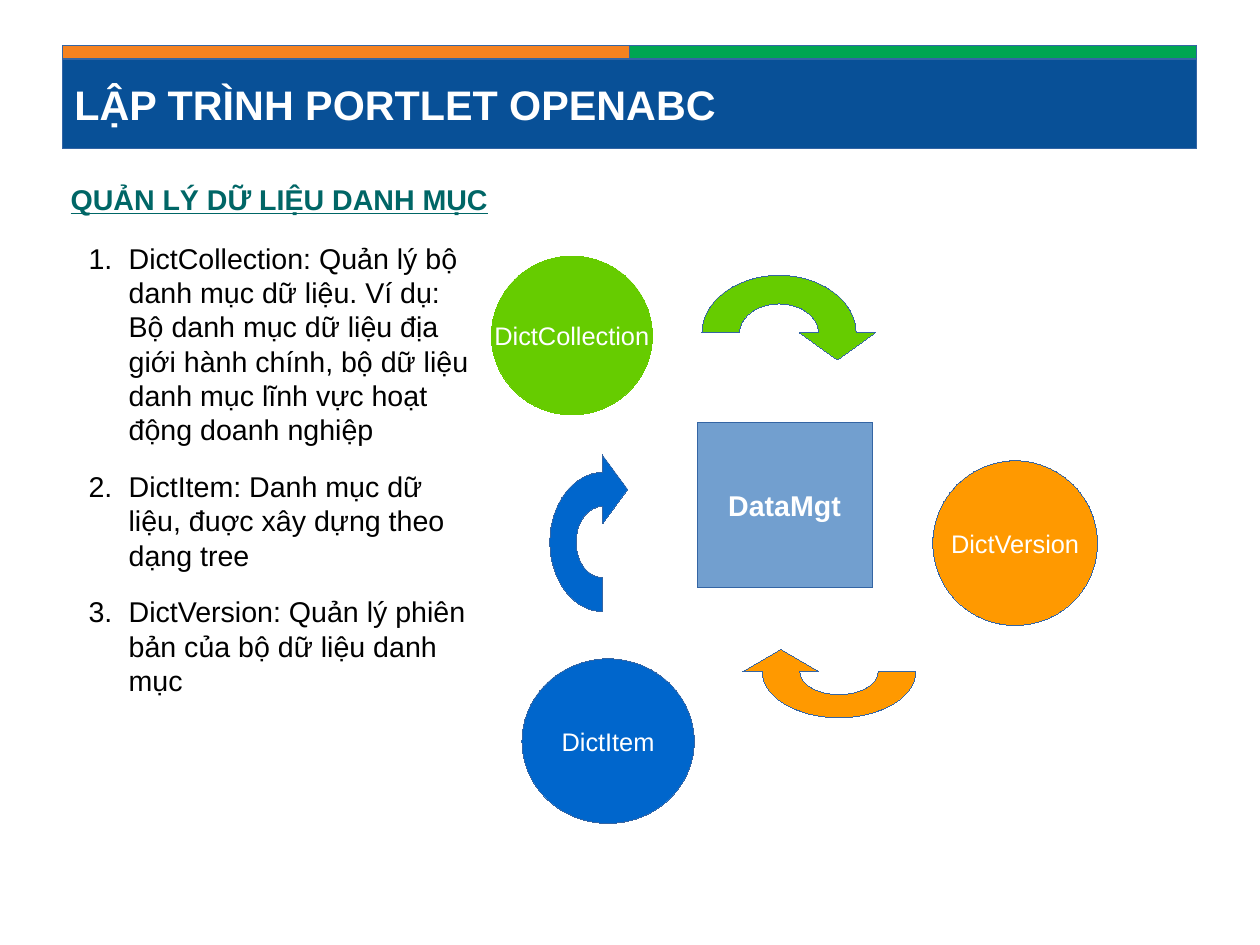
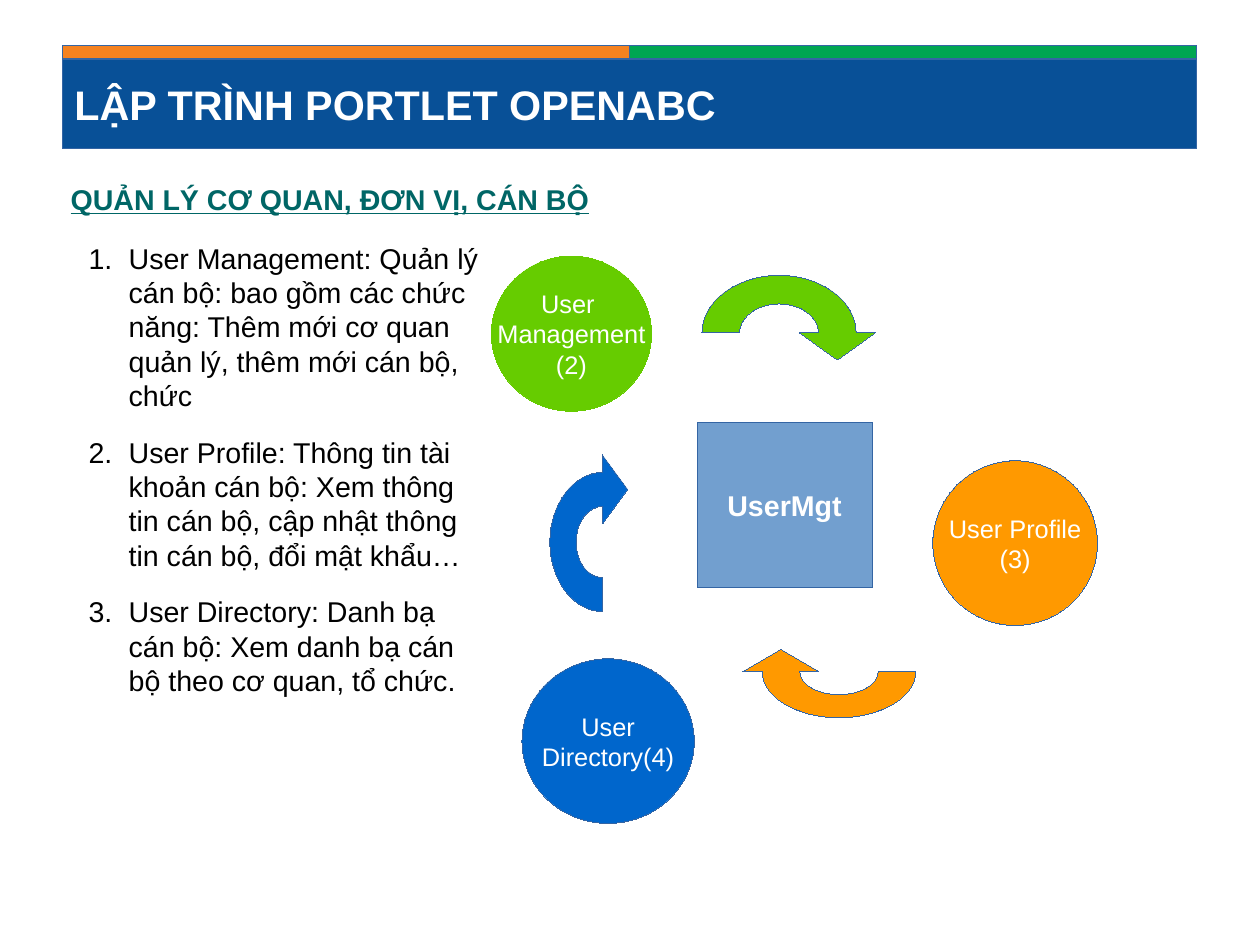
from lxml import etree
from pptx import Presentation
from pptx.dml.color import RGBColor
from pptx.enum.shapes import MSO_SHAPE
from pptx.enum.text import MSO_ANCHOR, MSO_AUTO_SIZE, PP_ALIGN
from pptx.oxml.ns import qn
from pptx.util import Cm, Pt

RECTANGLE, OVAL = MSO_SHAPE.RECTANGLE, MSO_SHAPE.OVAL
MIDDLE = MSO_ANCHOR.MIDDLE
NO_FIT = MSO_AUTO_SIZE.NONE
LEFT, CENTER = PP_ALIGN.LEFT, PP_ALIGN.CENTER

FONT = "Arial"
COLORS = {
    "title": "085097", "band_left": "F58220", "band_right": "00A651",
    "outline": "3465A4", "heading": "006666", "text": "000000",
    "white": "FFFFFF", "green": "66CC00", "blue": "0066CC",
    "orange": "FF9900", "module": "729FCF",
}
TITLE = "LẬP TRÌNH PORTLET OPENABC"

# Boxes are left, top, width, height in cm
TITLE_BOX = (1.4, 1.32, 25.2, 1.98)
BANDS_BOX = (1.4, 1.02, 25.2, 0.28)
HEADING_BOX = (1.32, 3.91, 25.35, 1.12)
LIST_BOX = (1.67, 5.35, 8.99, 13.18)
CYCLE_ORIGIN = (10.92, 5.69)

# Parts of the cycle, relative to its origin
MODULE_BOX = (4.57, 3.71, 3.89, 3.66)
ARROWS = [  # colour, quarter turns to the left, box
    ("blue", 1, (1.3, 4.42, 1.73, 3.48)),
    ("green", 0, (4.68, 0.43, 3.86, 1.88)),
    ("orange", 2, (5.59, 8.74, 3.84, 1.52)),
]
CIRCLES = [  # fill, outline, position
    ("green", "green", (0, 0)),
    ("blue", "outline", (0.68, 8.95)),
    ("orange", "outline", (9.81, 4.55)),
]
OTHER_SIZES = [(3.83, 3.66), (3.66, 3.66)]

SLIDES = [
    {
        "heading": "QUẢN LÝ DỮ LIỆU DANH MỤC",
        "items": [
            "DictCollection: Quản lý bộ danh mục dữ liệu. Ví dụ: Bộ danh mục "
            "dữ liệu địa giới hành chính, bộ dữ liệu danh mục lĩnh vực hoạt "
            "động doanh nghiệp",
            "DictItem: Danh mục dữ liệu, đuợc xây dựng theo dạng tree",
            "DictVersion: Quản lý phiên bản của bộ dữ liệu danh mục",
        ],
        "module": "DataMgt",
        "circles": ["DictCollection", "DictItem", "DictVersion"],
        "first_size": (3.58, 3.53),
    },
    {
        "heading": "QUẢN LÝ CƠ QUAN, ĐƠN VỊ, CÁN BỘ",
        "items": [
            "User Management: Quản lý cán bộ: bao gồm các chức năng: Thêm mới "
            "cơ quan quản lý, thêm mới cán bộ, chức",
            "User Profile: Thông tin tài khoản cán bộ: Xem thông tin cán bộ, "
            "cập nhật thông tin cán bộ, đổi mật khẩu…",
            "User Directory: Danh bạ cán bộ: Xem danh bạ cán bộ theo cơ quan, "
            "tổ chức.",
        ],
        "module": "UserMgt",
        "circles": ["User \nManagement\n(2)", "User\nDirectory(4)",
                    "User Profile\n(3)"],
        "first_size": (3.56, 3.45),
    },
]


def rgb(name):
    return RGBColor.from_string(COLORS[name])


def lengths(box):
    return [Cm(value) for value in box]


def paint(shape, fill, outline="outline"):
    shape.fill.solid()
    shape.fill.fore_color.rgb = rgb(fill)
    shape.line.color.rgb = rgb(outline)
    # A hairline needs its zero width written out
    shape._element.spPr.find(qn("a:ln")).set("w", "0")
    shape.shadow.inherit = False


def write(frame, text, size, color, align=LEFT, bold=False):
    frame.text = text
    for paragraph in frame.paragraphs:
        paragraph.alignment = align
        for run in paragraph.runs:
            run.font.name = FONT
            run.font.size = Pt(size)
            run.font.bold = bold
            run.font.color.rgb = rgb(color)


def add_block(slide, kind, box, fill, outline="outline"):
    block = slide.shapes.add_shape(kind, *lengths(box))
    paint(block, fill, outline)
    return block


def label(block, text, size, bold=False):
    frame = block.text_frame
    frame.word_wrap = False
    frame.vertical_anchor = MIDDLE
    write(frame, text, size, "white", CENTER, bold)


def add_header(slide, title_box, bands_box):
    # Title bar
    title = slide.shapes.title
    title.left, title.top, title.width, title.height = lengths(title_box)
    paint(title, "title")
    frame = title.text_frame
    frame.auto_size = NO_FIT
    frame.word_wrap = False
    frame.vertical_anchor = MIDDLE
    write(frame, TITLE, 26, "white", bold=True)
    # Two bands of equal width above it
    left, top, width, height = bands_box
    half = width / 2
    for i, color in enumerate(("band_left", "band_right")):
        add_block(slide, RECTANGLE, (left + i * half, top, half, height), color)


def add_heading(slide, text, box):
    frame = slide.shapes.add_textbox(*lengths(box)).text_frame
    frame.word_wrap = True
    write(frame, text, 18, "heading", bold=True)
    # The underline follows the colour of the text
    font = frame.paragraphs[0].runs[0].font
    font.underline = True
    latin = font._element.find(qn("a:latin"))
    latin.addprevious(etree.Element(qn("a:uFillTx")))


def add_numbered_list(slide, items, box):
    frame = slide.shapes.add_textbox(*lengths(box)).text_frame
    frame.word_wrap = True
    frame.margin_left = frame.margin_top = 0
    frame.margin_right = frame.margin_bottom = 0
    write(frame, "\n".join(items), 18, "text")
    for paragraph in frame.paragraphs:
        paragraph.space_before = Pt(14.2)
        properties = paragraph._p.get_or_add_pPr()
        properties.set("marL", str(Cm(1.19)))
        properties.set("indent", str(-Cm(0.89)))
        numbering = etree.SubElement(properties, qn("a:buAutoNum"))
        numbering.set("type", "arabicPeriod")


def half_ellipse(center, base, radius_x, radius_y):
    """Upper half as two Bézier curves: a start and six further points."""
    k = 0.55
    units = [(-1, 0), (-1, k), (-k, 1), (0, 1), (k, 1), (1, k), (1, 0)]
    return [(center + radius_x * x, base - radius_y * y) for x, y in units]


def merge_curves(shape, starts):
    """Turn the three line segments from each start into one curve."""
    segments = list(shape._element.iter(qn("a:lnTo")))
    for start in starts:
        curve = etree.Element(qn("a:cubicBezTo"))
        segments[start].addprevious(curve)
        for segment in segments[start:start + 3]:
            curve.append(segment[0])
            segment.getparent().remove(segment)


def add_curved_arrow(slide, color, turns, box):
    left, top, width, height = box
    # Outline in a unit square, pointing down on the right
    center, base = 0.444, 0.676
    head = [(1, base), (0.78, 1), (0.56, base)]
    outer = half_ellipse(center, base, center, base)
    inner = half_ellipse(center, base, 0.227, 0.338)
    points = inner[::-1] + outer + head
    for _ in range(turns):
        points = [(y, 1 - x) for x, y in points]
    points = [(Cm(left + x * width), Cm(top + y * height)) for x, y in points]
    builder = slide.shapes.build_freeform(*points[0])
    builder.add_line_segments(points[1:], close=True)
    arrow = builder.convert_to_shape()
    merge_curves(arrow, (0, 3, 7, 10))
    paint(arrow, color)


def add_cycle(slide, content, origin):
    def placed(box):
        return (origin[0] + box[0], origin[1] + box[1], *box[2:])

    # Circles
    sizes = [content["first_size"], *OTHER_SIZES]
    for (fill, outline, position), size, text in zip(
            CIRCLES, sizes, content["circles"]):
        circle = add_block(slide, OVAL, placed(position + size), fill, outline)
        label(circle, text, 16)
    # Arrows between them
    for color, turns, box in ARROWS:
        add_curved_arrow(slide, color, turns, placed(box))
    # Module in the middle
    module = add_block(slide, RECTANGLE, placed(MODULE_BOX), "module")
    label(module, content["module"], 18, bold=True)


def add_module_slide(deck, content):
    slide = deck.slides.add_slide(deck.slide_layouts[5])
    add_header(slide, TITLE_BOX, BANDS_BOX)
    add_heading(slide, content["heading"], HEADING_BOX)
    add_cycle(slide, content, CYCLE_ORIGIN)
    add_numbered_list(slide, content["items"], LIST_BOX)


def main():
    deck = Presentation()
    deck.slide_width, deck.slide_height = Cm(28), Cm(21)
    for content in SLIDES:
        add_module_slide(deck, content)
    deck.save("out.pptx")


if __name__ == "__main__":
    main()
